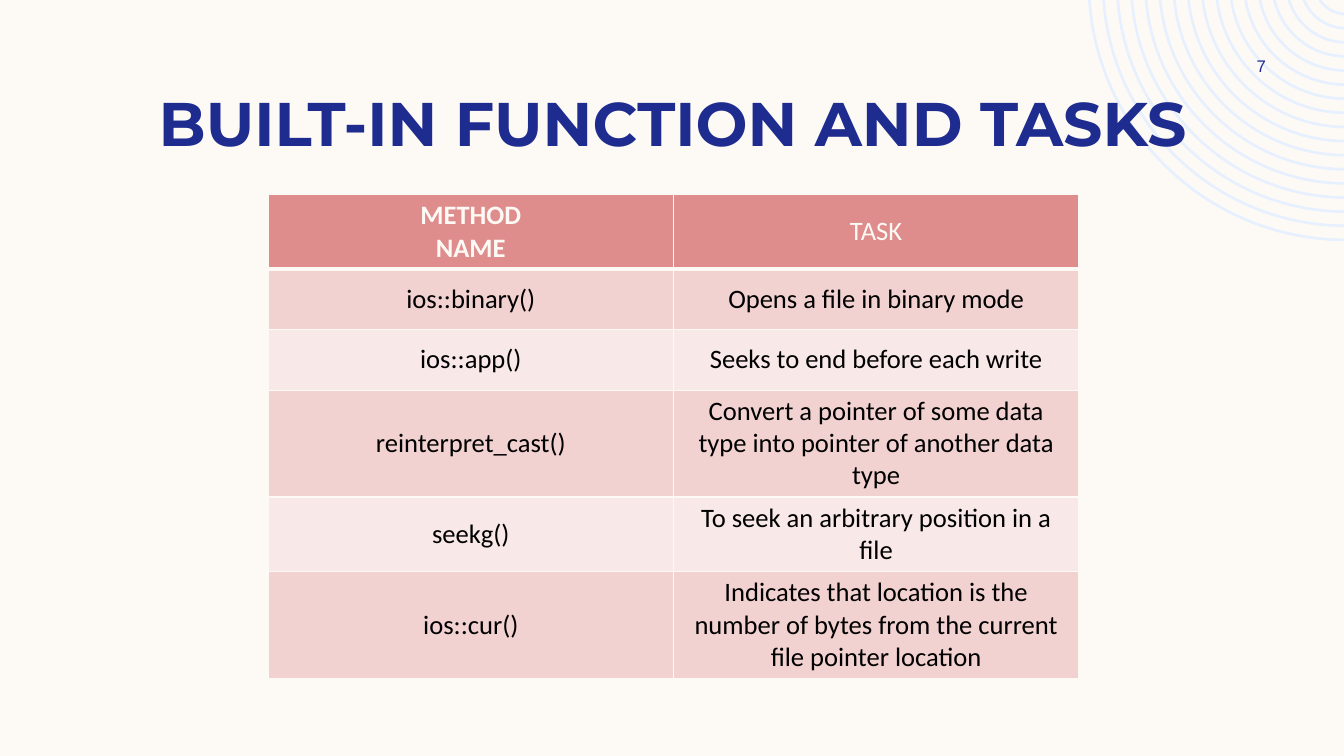
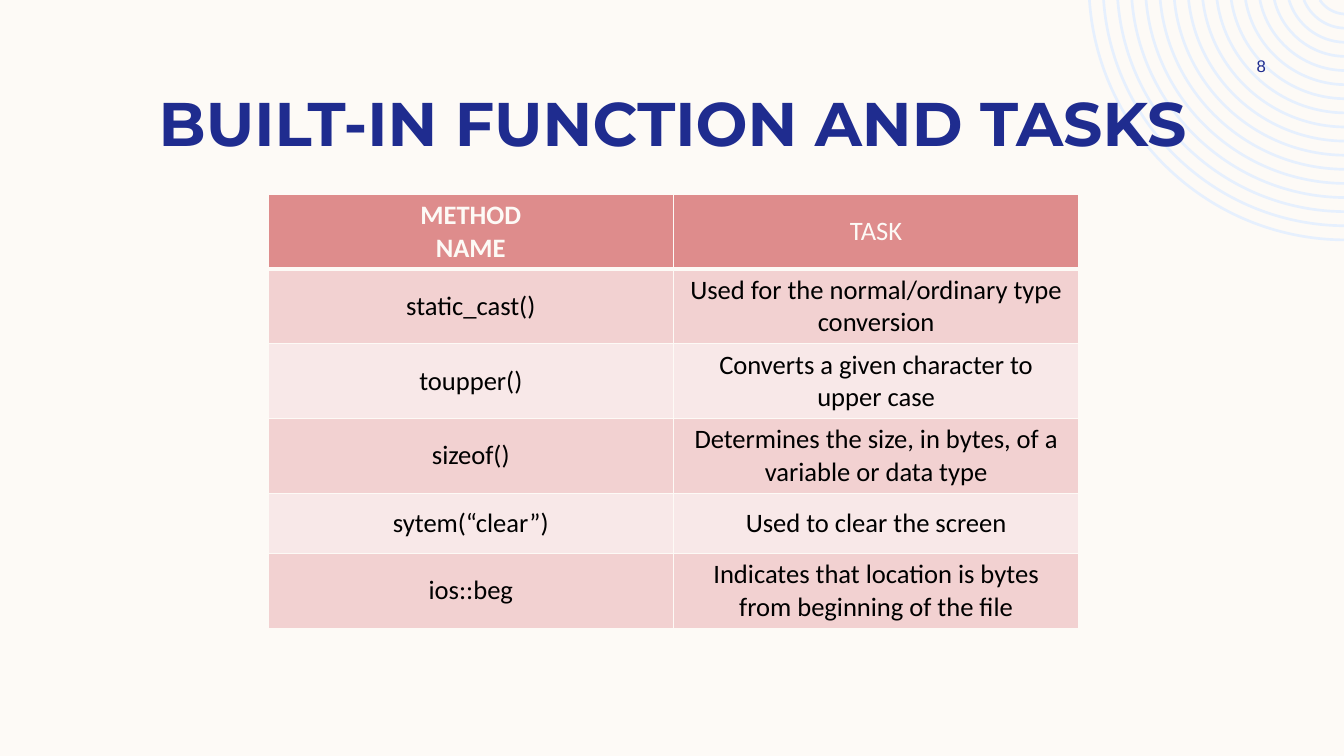
import math
from dataclasses import dataclass

from lxml import etree
from pptx import Presentation
from pptx import util as u
from pptx.dml.color import RGBColor
from pptx.enum import text
from pptx.oxml.ns import qn

# Shared style
CREAM, NAVY, SKY, BLACK = "FDFAF6", "1F2C8F", "E6F0FE", "000000"
HEADER_FILL, BAND_FILLS = "DE8C8C", ("F2D1D1", "F8E8E8")
TITLE_FONT, TABLE_FONT, NUMBER_FONT = "Montserrat", "Calibri", "Arial"
TITLE = "BUILT-IN FUNCTION AND TASKS"
SLIDE_WIDTH, SLIDE_HEIGHT = 13.33, 7.5

# Table layout in inches
TABLE_LEFT, TABLE_TOP, COLUMN_WIDTH = 2.66, 1.93, 4.02
LINE_HEIGHT, CELL_PADDING, MIN_ROW_HEIGHT = 0.32, 0.05, 0.6

# Ring layout in inches, line width in points
RING_COUNT, RING_STEP, RING_LINE = 17, 0.14, 1.9
RING_CENTER_X, RING_CENTER_Y, OUTER_RADIUS = 13.35, -0.17, 2.55


@dataclass
class Method:
    name: str
    task: str
    lines: int


@dataclass
class MethodSlide:
    number: int
    methods: list[Method]


SLIDES = [
    MethodSlide(7, [
        Method("ios::binary()", "Opens a file in binary mode", 1),
        Method("ios::app()", "Seeks to end before each write", 1),
        Method("reinterpret_cast()",
               "Convert a pointer of some data type into pointer of another data type", 3),
        Method("seekg()", "To seek an arbitrary position in a file", 2),
        Method("ios::cur()",
               "Indicates that location is the number of bytes from the current "
               "file pointer location", 3),
    ]),
    MethodSlide(8, [
        Method("static_cast()", "Used for the normal/ordinary type conversion", 2),
        Method("toupper()", "Converts a given character to upper case", 2),
        Method("sizeof()", "Determines the size, in bytes, of a variable or data type", 2),
        Method("sytem(“clear”)", "Used to clear the screen", 1),
        Method("ios::beg", "Indicates that location is bytes from beginning of the file", 2),
    ]),
]


def rgb(color: str) -> RGBColor:
    return RGBColor.from_string(color)


def write(frame, lines: list[str], font: str, size: float, color: str, bold: bool = False) -> None:
    """Write centred paragraphs, one run each."""
    for index, line in enumerate(lines):
        paragraph = frame.add_paragraph() if index else frame.paragraphs[0]
        paragraph.alignment = text.PP_ALIGN.CENTER
        run = paragraph.add_run()
        run.text = line
        run.font.name, run.font.size, run.font.bold = font, u.Pt(size), bold
        run.font.color.rgb = rgb(color)


def arc(radius: float) -> list[tuple[int, int]]:
    """Bezier points of an arc from the slide's top edge to its right edge."""
    start = math.pi - math.asin(-RING_CENTER_Y / radius)
    end = math.acos((SLIDE_WIDTH - RING_CENTER_X) / radius)
    handle = 4 / 3 * math.tan((end - start) / 4)
    points = []
    for angle, offset in ((start, 0), (start, handle), (end, -handle), (end, 0)):
        x = RING_CENTER_X + radius * (math.cos(angle) - offset * math.sin(angle))
        y = RING_CENTER_Y + radius * (math.sin(angle) + offset * math.cos(angle))
        points.append((u.Inches(x), u.Inches(y)))
    return points


def curve_segments(shape) -> None:
    """Turn each run of three straight segments into one Bezier curve."""
    segments = list(shape.element.iter(qn("a:lnTo")))
    for first in range(0, len(segments), 3):
        curve = etree.Element(qn("a:cubicBezTo"))
        segments[first].addprevious(curve)
        for segment in segments[first:first + 3]:
            curve.append(segment[0])
            segment.getparent().remove(segment)


def add_rings(slide, layout) -> None:
    """Draw the corner rings and place them on the shared layout."""
    rings = [arc(OUTER_RADIUS - RING_STEP * index) for index in range(RING_COUNT)]
    builder = slide.shapes.build_freeform(*rings[0][0], scale=1.0)
    for index, points in enumerate(rings):
        if index:
            builder.move_to(*points[0])
        builder.add_line_segments(points[1:], close=False)
    shape = builder.convert_to_shape()
    curve_segments(shape)
    shape.shadow.inherit = False
    shape.fill.background()
    shape.line.color.rgb = rgb(SKY)
    shape.line.width = u.Pt(RING_LINE)
    shape.element.nvSpPr.cNvPr.set("id", "50")
    layout.shapes.element.append(shape.element)


def set_borders(cell, top: float, bottom: float) -> None:
    properties = cell._tc.get_or_add_tcPr()
    for side, width in (("L", 1), ("R", 1), ("T", top), ("B", bottom)):
        line = etree.SubElement(properties, qn(f"a:ln{side}"), w=str(u.Pt(width)))
        fill = etree.SubElement(line, qn("a:solidFill"))
        etree.SubElement(fill, qn("a:srgbClr"), val=CREAM)


def fill_cell(cell, lines: list[str], row: int, bold: bool) -> None:
    header = row == 0
    set_borders(cell, 3 if row == 1 else 1, 3 if header else 1)
    cell.fill.solid()
    cell.fill.fore_color.rgb = rgb(HEADER_FILL if header else BAND_FILLS[(row - 1) % 2])
    cell.vertical_anchor = text.MSO_ANCHOR.MIDDLE
    cell.margin_left = cell.margin_right = u.Inches(0.11)
    cell.margin_top = cell.margin_bottom = u.Inches(CELL_PADDING)
    write(cell.text_frame, lines, TABLE_FONT, 19, CREAM if header else BLACK, bold)


def add_method_table(slide, methods: list[Method]) -> None:
    heights = [max(MIN_ROW_HEIGHT, lines * LINE_HEIGHT + 2 * CELL_PADDING)
               for lines in [2] + [method.lines for method in methods]]
    table = slide.shapes.add_table(
        len(heights), 2, u.Inches(TABLE_LEFT), u.Inches(TABLE_TOP),
        u.Inches(2 * COLUMN_WIDTH), u.Inches(sum(heights))).table
    table.horz_banding = False
    for column in table.columns:
        column.width = u.Inches(COLUMN_WIDTH)
    for row, height in zip(table.rows, heights):
        row.height = u.Inches(height)

    contents = [(["METHOD", "NAME"], ["TASK"])]
    contents += [([method.name], [method.task]) for method in methods]
    for row, cells in enumerate(contents):
        for column, lines in enumerate(cells):
            fill_cell(table.cell(row, column), lines, row, bold=row == column == 0)


def add_slide_number(slide, number: int) -> None:
    box = slide.shapes.add_textbox(u.Inches(11.97), u.Inches(0.5), u.Inches(1.08), u.Inches(0.3))
    box.text_frame.word_wrap = True
    box.text_frame.vertical_anchor = text.MSO_ANCHOR.MIDDLE
    write(box.text_frame, [str(number)], NUMBER_FONT, 12, NAVY)


def prepare_layout(layout) -> None:
    """Set the background and title position for every slide."""
    layout.background.fill.solid()
    layout.background.fill.fore_color.rgb = rgb(CREAM)
    title = layout.placeholders[0]
    title.left, title.top = u.Inches(0.84), u.Inches(0.79)
    title.width, title.height = u.Inches(11.67), u.Inches(0.84)
    title.text_frame.vertical_anchor = text.MSO_ANCHOR.MIDDLE


def main() -> None:
    presentation = Presentation()
    presentation.slide_width = u.Inches(SLIDE_WIDTH)
    presentation.slide_height = u.Inches(SLIDE_HEIGHT)
    layout = presentation.slide_layouts.get_by_name("Title Only")
    prepare_layout(layout)

    for index, content in enumerate(SLIDES):
        slide = presentation.slides.add_slide(layout)
        if index == 0:
            add_rings(slide, layout)
        write(slide.shapes.title.text_frame, [TITLE], TITLE_FONT, 44, NAVY, bold=True)
        add_method_table(slide, content.methods)
        add_slide_number(slide, content.number)

    presentation.save("out.pptx")


if __name__ == "__main__":
    main()
